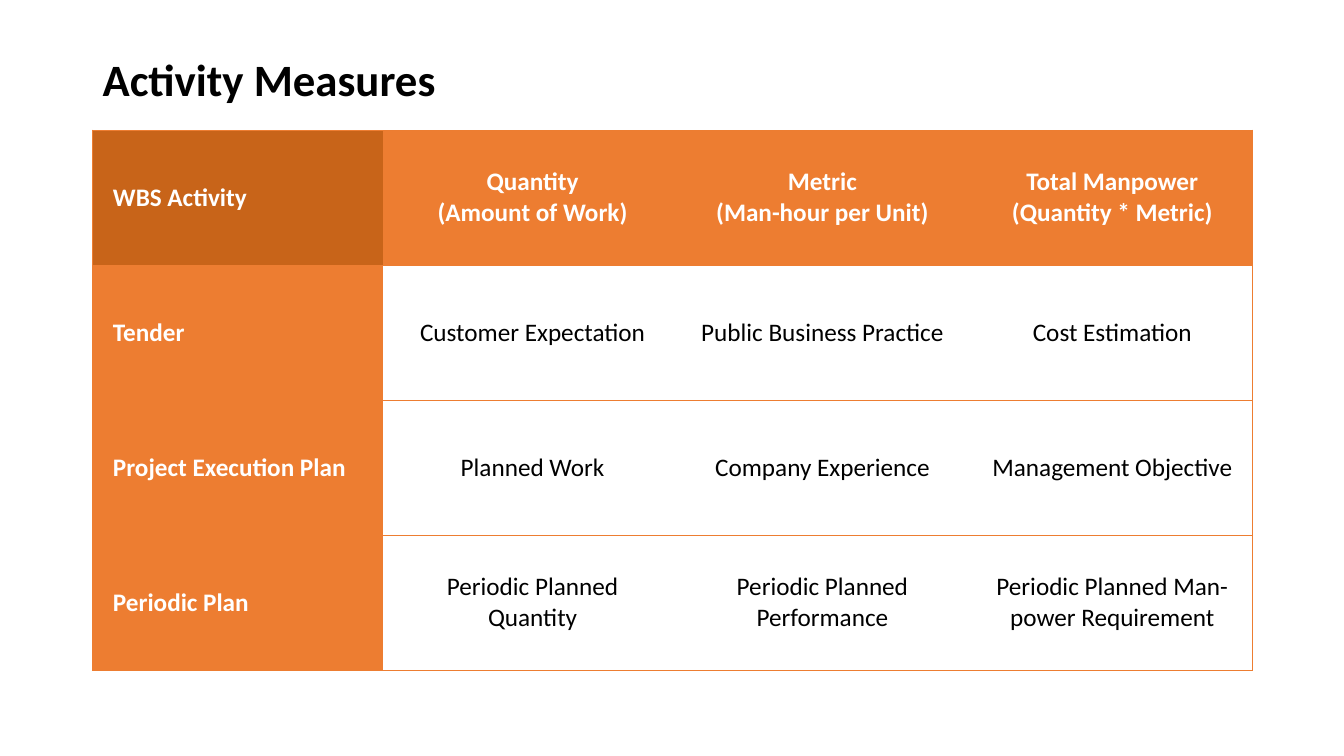
from dataclasses import dataclass

from lxml.etree import SubElement
from pptx import Presentation
from pptx.dml.color import RGBColor as RGB
from pptx.enum.text import MSO_ANCHOR as Anchor, PP_ALIGN as Align
from pptx.oxml.ns import qn
from pptx.util import Inches, Pt

COLORS = {"accent": "ED7D31", "corner": "C86419", "white": "FFFFFF", "black": "000000"}
FONT = "Calibri"
NO_GRID_STYLE = "{2D5ABB26-0587-4C30-8999-92F81FD0307C}"

# Slide grid: four equal columns and rows below the title
W, H = 13.33, 7.5
LEFT, TOP = 0.92, 1.29
COL, ROW = 11.5 / 4, 1.34


@dataclass
class Activity:
    name: str
    measures: tuple[str, str, str]


ACTIVITIES = [
    Activity("WBS Activity", ("Quantity\n(Amount of Work)", "Metric\n(Man-hour per Unit)",
                              "Total Manpower\n(Quantity * Metric)")),
    Activity("Tender", ("Customer Expectation", "Public Business Practice", "Cost Estimation")),
    Activity("Project Execution Plan", ("Planned Work", "Company Experience",
                                        "Management Objective")),
    Activity("Periodic Plan", ("Periodic Planned Quantity", "Periodic Planned Performance",
                               "Periodic Planned Man-power Requirement")),
]


def add_text(tf, text: str, size: float, color: str, bold: bool, align=Align.LEFT) -> None:
    for i, line in enumerate(text.split("\n")):
        p = tf.paragraphs[0] if i == 0 else tf.add_paragraph()
        p.alignment = align
        r = p.add_run()
        r.text = line
        r.font.name, r.font.size, r.font.bold = FONT, Pt(size), bold
        r.font.color.rgb = RGB.from_string(COLORS[color])


def add_borders(cell, sides: str) -> None:
    tc_pr = cell._tc.get_or_add_tcPr()
    for side in sides:
        ln = SubElement(tc_pr, qn(f"a:ln{side}"), w=str(Pt(0.5)))
        fill = SubElement(ln, qn("a:solidFill"))
        SubElement(fill, qn("a:srgbClr"), val=COLORS["accent"])


def fill_cell(cell, text: str, row: int, col: int) -> None:
    header = row == 0 or col == 0
    cell.vertical_anchor = Anchor.MIDDLE
    cell.margin_left, cell.margin_right = Inches(0.2), Inches(0.1)
    cell.margin_top = cell.margin_bottom = Inches(0.05)
    add_text(cell.text_frame, text, 18, "white" if header else "black", header,
             Align.CENTER if col else Align.LEFT)
    # Outer frame plus a line between rows
    add_borders(cell, ("L" if col == 0 else "") + ("R" if col == 3 else "") + "TB")
    if header:
        cell.fill.solid()
        shade = "corner" if row == col else "accent"
        cell.fill.fore_color.rgb = RGB.from_string(COLORS[shade])
    else:
        cell.fill.background()


def add_title(s, text: str) -> None:
    sp = s.shapes.add_textbox(Inches(LEFT), Inches(0.4), Inches(10.47), Inches(0.83))
    tf = sp.text_frame
    tf.word_wrap = True
    tf.vertical_anchor = Anchor.MIDDLE
    add_text(tf, text, 32, "black", True)
    tf.paragraphs[0].line_spacing = 0.9


def add_measures(s, activities: list[Activity]) -> None:
    n = len(activities)
    frame = s.shapes.add_table(n, 4, Inches(LEFT), Inches(TOP), Inches(4 * COL), Inches(n * ROW))
    table = frame.table
    table._tbl.tblPr.find(qn("a:tableStyleId")).text = NO_GRID_STYLE
    for column in table.columns:
        column.width = Inches(COL)
    for i, activity in enumerate(activities):
        table.rows[i].height = Inches(ROW)
        for j, text in enumerate((activity.name, *activity.measures)):
            fill_cell(table.cell(i, j), text, i, j)


def main() -> None:
    prs = Presentation()
    prs.slide_width, prs.slide_height = Inches(W), Inches(H)
    s = prs.slides.add_slide(prs.slide_layouts[6])
    add_title(s, "Activity Measures")
    add_measures(s, ACTIVITIES)
    prs.save("out.pptx")


if __name__ == "__main__":
    main()
